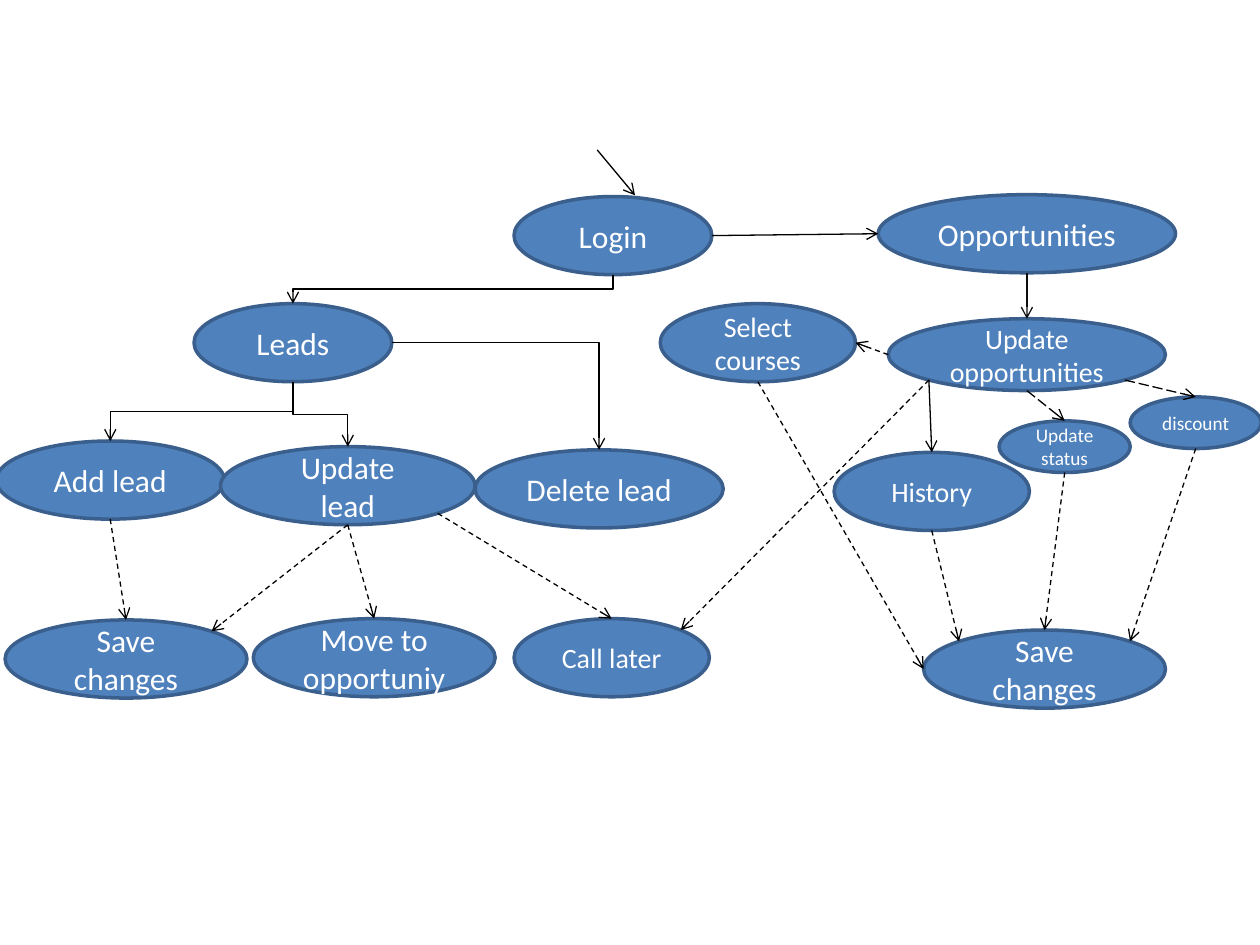
import math

import pptx
import pptx.dml.color
import pptx.enum.dml
import pptx.enum.shapes
import pptx.enum.text
import pptx.oxml.ns
import pptx.util
from lxml import etree

RGBColor = pptx.dml.color.RGBColor
BLUE = RGBColor(0x4F, 0x81, 0xBD)
DARK_BLUE = RGBColor(0x3A, 0x5F, 0x8C)
WHITE = RGBColor(0xFF, 0xFF, 0xFF)
BLACK = RGBColor(0, 0, 0)
SOFT_BLACK = RGBColor(0x0D, 0x0D, 0x0D)

DASH = pptx.enum.dml.MSO_LINE.DASH
LONG_DASH = pptx.enum.dml.MSO_LINE.LONG_DASH
STRAIGHT = pptx.enum.shapes.MSO_CONNECTOR.STRAIGHT
ELBOW = pptx.enum.shapes.MSO_CONNECTOR.ELBOW

# Connection sites of an ellipse, anticlockwise in steps of 45 degrees
TOP, TOP_LEFT, LEFT, BOTTOM_LEFT, BOTTOM, BOTTOM_RIGHT, RIGHT, TOP_RIGHT = range(8)

COLUMNS, ROWS = 100, 75
qn = pptx.oxml.ns.qn


class FlowChart:
    """Draws ovals and arrows on a page; lengths are grid columns and rows."""

    font = "Calibri"

    def __init__(self, deck):
        self.page = deck.slides.add_slide(deck.slide_layouts[6])
        self.column = deck.slide_width / COLUMNS
        self.row = deck.slide_height / ROWS

    def oval(self, label, column, row, width, height, size):
        box = self.page.shapes.add_shape(
            pptx.enum.shapes.MSO_SHAPE.OVAL,
            round(column * self.column), round(row * self.row),
            round(width * self.column), round(height * self.row))
        box.shadow.inherit = False
        box.fill.solid()
        box.fill.fore_color.rgb = BLUE
        box.line.color.rgb = DARK_BLUE
        box.line.width = pptx.util.Pt(2)
        frame = box.text_frame
        frame.text = label
        frame.word_wrap = True
        frame.vertical_anchor = pptx.enum.text.MSO_ANCHOR.MIDDLE
        para = frame.paragraphs[0]
        para.alignment = pptx.enum.text.PP_ALIGN.CENTER
        span = para.runs[0]
        span.font.name = self.font
        span.font.size = pptx.util.Pt(size)
        span.font.color.rgb = WHITE
        return box

    def site(self, box, index):
        angle = math.radians(90 + 45 * index)
        return (round(box.left + box.width / 2 * (1 + math.cos(angle))),
                round(box.top + box.height / 2 * (1 - math.sin(angle))))

    def glue(self, connector, tag, box, index):
        properties = connector.element.find(".//" + qn("p:cNvCxnSpPr"))
        etree.SubElement(properties, qn(tag), id=str(box.shape_id), idx=str(index))

    def style(self, connector, dash=None, color=BLACK):
        connector.line.color.rgb = color
        connector.line.width = pptx.util.Pt(0.75)
        if dash is not None:
            connector.line.dash_style = dash
        outline = connector.line._get_or_add_ln()
        etree.SubElement(outline, qn("a:tailEnd"), type="arrow")
        etree.SubElement(connector.element.spPr, qn("a:effectLst"))

    def entry(self, column, row, box, end):
        """Arrow from a free point to an end given in columns and rows."""
        connector = self.page.shapes.add_connector(
            STRAIGHT, round(column * self.column), round(row * self.row),
            round(end[0] * self.column), round(end[1] * self.row))
        self.style(connector)

    def arrow(self, source, start, target, end, dash=None, color=BLACK):
        connector = self.page.shapes.add_connector(
            STRAIGHT, *self.site(source, start), *self.site(target, end))
        self.finish(connector, source, start, target, end, dash, color)

    def corner(self, source, start, target, end):
        """One bend: across, then down."""
        connector = self.page.shapes.add_connector(
            ELBOW, *self.site(source, start), *self.site(target, end))
        connector.element.spPr.find(qn("a:prstGeom")).set("prst", "bentConnector2")
        self.finish(connector, source, start, target, end)

    def step(self, source, start, target, end):
        """Two bends: down, across, down. A level step turned upright."""
        x1, y1 = self.site(source, start)
        x2, y2 = self.site(target, end)
        middle_x, middle_y = (x1 + x2) / 2, (y1 + y2) / 2
        half_drop, half_run = (y2 - y1) / 2, abs(x2 - x1) / 2
        if x2 > x1:
            half_drop = -half_drop
        connector = self.page.shapes.add_connector(
            ELBOW, round(middle_x - half_drop), round(middle_y - half_run),
            round(middle_x + half_drop), round(middle_y + half_run))
        turn = 270 if x2 > x1 else 90
        connector.element.spPr.find(qn("a:xfrm")).set("rot", str(turn * 60000))
        self.finish(connector, source, start, target, end)

    def finish(self, connector, source, start, target, end, dash=None, color=BLACK):
        self.glue(connector, "a:stCxn", source, start)
        self.glue(connector, "a:endCxn", target, end)
        self.style(connector, dash, color)


deck = pptx.Presentation()
deck.slide_width = pptx.util.Inches(10)
deck.slide_height = pptx.util.Inches(7.5)
chart = FlowChart(deck)

# Sign-in and the leads branch
login = chart.oval("Login", 40.8, 15.6, 15.7, 6.2, 18)
leads = chart.oval("Leads", 15.4, 24.1, 15.7, 6.2, 18)
add_lead = chart.oval("Add lead", -0.3, 35, 18.1, 6.2, 18)
update_lead = chart.oval("Update lead", 17.5, 35.45, 20.2, 6.2, 18)
delete_lead = chart.oval("Delete lead", 37.7, 35.7, 19.7, 6.2, 18)
save_lead = chart.oval("Save changes", 0.4, 49.2, 19.2, 6.2, 18)
move = chart.oval("Move to opportuniy", 20.1, 49.1, 19.2, 6.2, 18)
call_later = chart.oval("Call later", 40.8, 49.1, 15.5, 6.2, 16)

# Opportunities branch
opportunities = chart.oval("Opportunities", 69.7, 15.45, 23.6, 6.2, 18)
update = chart.oval("Update opportunities", 70.5, 25.3, 22, 5.7, 16)
courses = chart.oval("Select courses", 52.4, 24.1, 15.5, 6.2, 16)
history = chart.oval("History", 66.2, 35.9, 15.5, 6.2, 16)
status = chart.oval("Update status", 79.3, 33.4, 10.4, 4.1, 11)
discount = chart.oval("discount", 89.7, 31.5, 10.4, 4.1, 11)
save_opportunity = chart.oval("Save changes", 73.3, 50, 19.2, 6.2, 18)

# Bent arrows
chart.step(login, BOTTOM, leads, TOP)
chart.step(leads, BOTTOM, add_lead, TOP)
chart.step(leads, BOTTOM, update_lead, TOP)
chart.corner(leads, RIGHT, delete_lead, TOP)

# Solid arrows
chart.entry(47.4, 11.9, login, (50.4, 15.5))
chart.arrow(login, RIGHT, opportunities, LEFT)
chart.arrow(opportunities, BOTTOM, update, TOP, color=SOFT_BLACK)
chart.arrow(update, BOTTOM_LEFT, history, TOP)

# Dashed arrows
for source, start, target, end in (
        (add_lead, BOTTOM, save_lead, TOP),
        (update_lead, BOTTOM, save_lead, TOP_RIGHT),
        (update_lead, BOTTOM, move, TOP),
        (update_lead, BOTTOM_RIGHT, call_later, TOP),
        (update, BOTTOM_LEFT, call_later, TOP_RIGHT),
        (update, LEFT, courses, RIGHT),
        (courses, BOTTOM, save_opportunity, LEFT),
        (history, BOTTOM, save_opportunity, TOP_LEFT),
        (status, BOTTOM, save_opportunity, TOP),
        (discount, BOTTOM, save_opportunity, TOP_RIGHT)):
    chart.arrow(source, start, target, end, DASH)
chart.arrow(update, BOTTOM, status, TOP, LONG_DASH)
chart.arrow(update, BOTTOM_RIGHT, discount, TOP, LONG_DASH)

deck.save("out.pptx")
